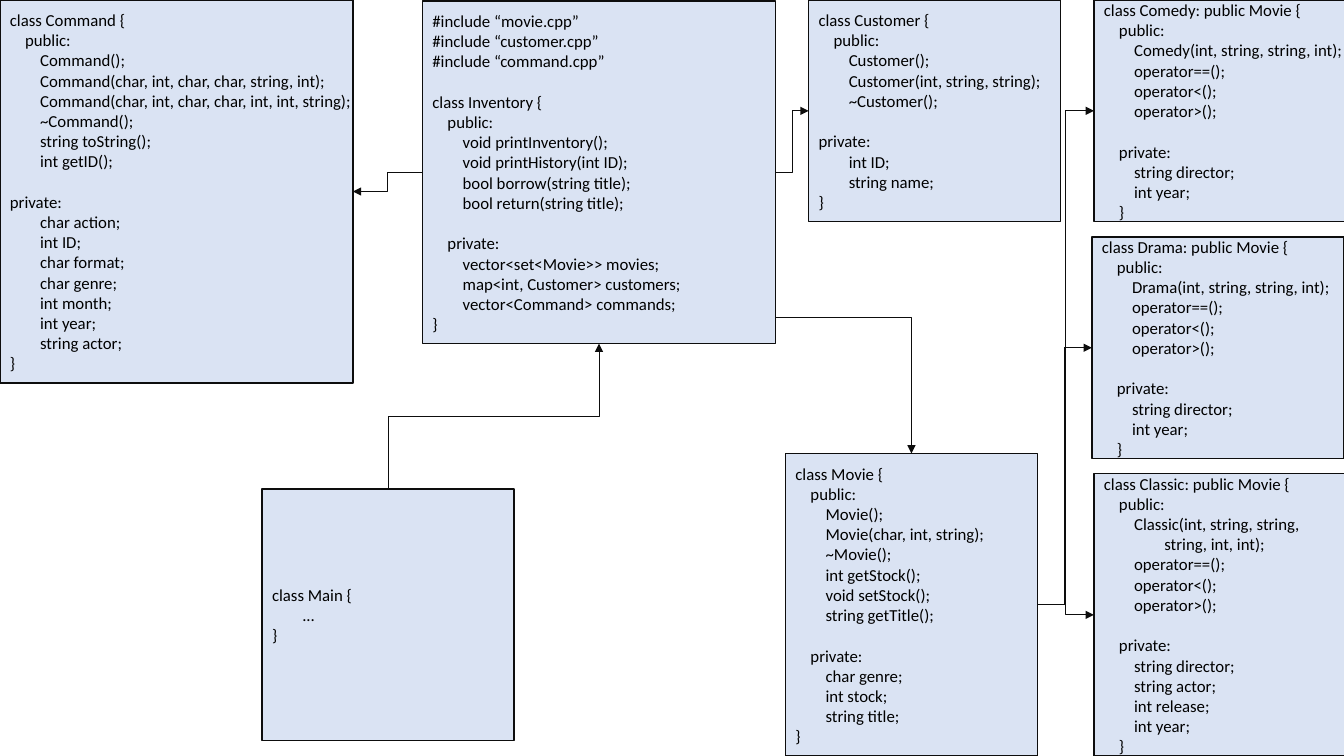
from pptx import Presentation as Deck
from pptx.util import Inches, Pt
from pptx.dml.color import RGBColor as Color
from pptx.enum.shapes import MSO_SHAPE as Shape, MSO_CONNECTOR as Wire
from pptx.enum.text import MSO_ANCHOR as Anchor, PP_ALIGN as Align
from pptx.oxml.ns import qn
from lxml.etree import SubElement as Sub
from dataclasses import dataclass


@dataclass(frozen=True)
class Theme:
    font: str = "Calibri"
    size: float = 12
    gap: float = 14.65
    step: float = 0.15
    edge: float = 1
    wire: float = 0.5
    fill: Color = Color.from_string("DAE3F3")
    line: Color = Color.from_string("0D0D0D")
    ink: Color = Color.from_string("000000")


LOOK = Theme()
TOP, LEFT, BOTTOM, RIGHT = range(4)

CODE = {
    "Command": """class Command {
    public:
        Command();
        Command(char, int, char, char, string, int);
        Command(char, int, char, char, int, int, string);
        ~Command();
        string toString();
        int getID();

private:
        char action;
        int ID;
        char format;
        char genre;
        int month;
        int year;
        string actor;
}""",
    "Inventory": """#include “movie.cpp”
#include “customer.cpp”
#include “command.cpp”

class Inventory {
    public:
        void printInventory();
        void printHistory(int ID);
        bool borrow(string title);
        bool return(string title);

    private:
        vector<set<Movie>> movies;
        map<int, Customer> customers;
        vector<Command> commands;
}""",
    "Customer": """class Customer {
    public:
        Customer();
        Customer(int, string, string);
        ~Customer();

private:
        int ID;
        string name;
}""",
    "Main": """class Main {
        ...
}""",
    "Movie": """class Movie {
    public:
        Movie();
        Movie(char, int, string);
        ~Movie();
        int getStock();
        void setStock();
        string getTitle();

    private:
        char genre;
        int stock;
        string title;
}""",
    "Classic": """class Classic: public Movie {
    public:
        Classic(int, string, string,
                string, int, int);
        operator==();
        operator<();
        operator>();

    private:
        string director;
        string actor;
        int release;
        int year;
    }""",
}
GENRE = """class {0}: public Movie {{
    public:
        {0}(int, string, string, int);
        operator==();
        operator<();
        operator>();

    private:
        string director;
        int year;
    }}"""
CODE.update((name, GENRE.format(name)) for name in ("Comedy", "Drama"))


def style(item, form):
    for key, value in form.items():
        setattr(item, key, value)


def write(frame, code):
    style(frame, {"word_wrap": False, "vertical_anchor": Anchor.MIDDLE})
    para, gap = frame.paragraphs[0], 0
    for row, line in enumerate(code.split("\n")):
        text = line.lstrip()
        if not text:
            gap = LOOK.gap
            continue
        if row:
            para = frame.add_paragraph()
        style(para, {"alignment": Align.LEFT, "space_before": Pt(gap)})
        depth = (len(line) - len(text)) // 4
        para._p.get_or_add_pPr().set("marL", str(Inches(depth * LOOK.step)))
        run = para.add_run()
        run.text = text
        style(run.font, {"name": LOOK.font, "size": Pt(LOOK.size)})
        run.font.color.rgb = LOOK.ink
        gap = 0


def card(slide, box, name):
    rect = slide.shapes.add_shape(Shape.RECTANGLE, *map(Inches, box))
    rect.shadow.inherit = False
    rect.fill.solid()
    rect.fill.fore_color.rgb = LOOK.fill
    rect.line.color.rgb = LOOK.line
    rect.line.width = Pt(LOOK.edge)
    write(rect.text_frame, CODE[name])
    return rect


def group(slide, box, parts):
    left, top = box
    return {name: card(slide, (left + x, top + y, wide, high), name)
            for name, (x, y, wide, high) in parts.items()}


def store(slide, box):
    return group(slide, box, {
        "Command": (0, 0, 3.5, 3.8),
        "Inventory": (4.19, 0.01, 3.5, 3.4),
        "Customer": (8.02, 0, 2.5, 2.2),
        "Main": (2.6, 4.85, 2.5, 2.5),
    })


def films(slide, box):
    return group(slide, box, {
        "Movie": (0, 4.5, 2.5, 3),
        "Comedy": (3.06, 0, 2.5, 2.2),
        "Drama": (3.04, 2.35, 2.5, 2.2),
        "Classic": (3.06, 4.7, 2.5, 2.8),
    })


def wire(slide, start, end):
    link = slide.shapes.add_connector(Wire.ELBOW, *start, *end)
    link.line.color.rgb = LOOK.line
    link.line.width = Pt(LOOK.wire)
    Sub(link.line._get_or_add_ln(), qn("a:tailEnd"), type="triangle")
    Sub(link._element.spPr, qn("a:effectLst"))
    return link


def across(slide, one, two, sides=(RIGHT, LEFT)):
    link = wire(slide, (0, 0), (0, 0))
    link.begin_connect(one, sides[0])
    link.end_connect(two, sides[1])


def upright(slide, start, end):
    (x1, y1), (x2, y2) = start, end
    midx, midy = (x1 + x2) / 2, (y1 + y2) / 2
    run, rise = (y2 - y1) / 2, (x1 - x2) / 2
    ends = (midx - run, midy - rise), (midx + run, midy + rise)
    link = wire(slide, *(tuple(map(Inches, spot)) for spot in ends))
    link._element.spPr.find(qn("a:xfrm")).set("rot", str(90 * 60000))


def build():
    deck = Deck()
    style(deck, {"slide_width": Inches(13.33), "slide_height": Inches(7.5)})
    slide = deck.slides.add_slide(deck.slide_layouts[6])
    cards = {**store(slide, (0, 0)), **films(slide, (7.79, 0))}
    for name in ("Comedy", "Drama", "Classic"):
        across(slide, cards["Movie"], cards[name])
    across(slide, cards["Inventory"], cards["Customer"])
    across(slide, cards["Inventory"], cards["Command"], (LEFT, RIGHT))
    upright(slide, (7.69, 1.8), (9.04, 4.5))
    upright(slide, (3.85, 4.85), (5.94, 3.41))
    deck.save("out.pptx")


build()
